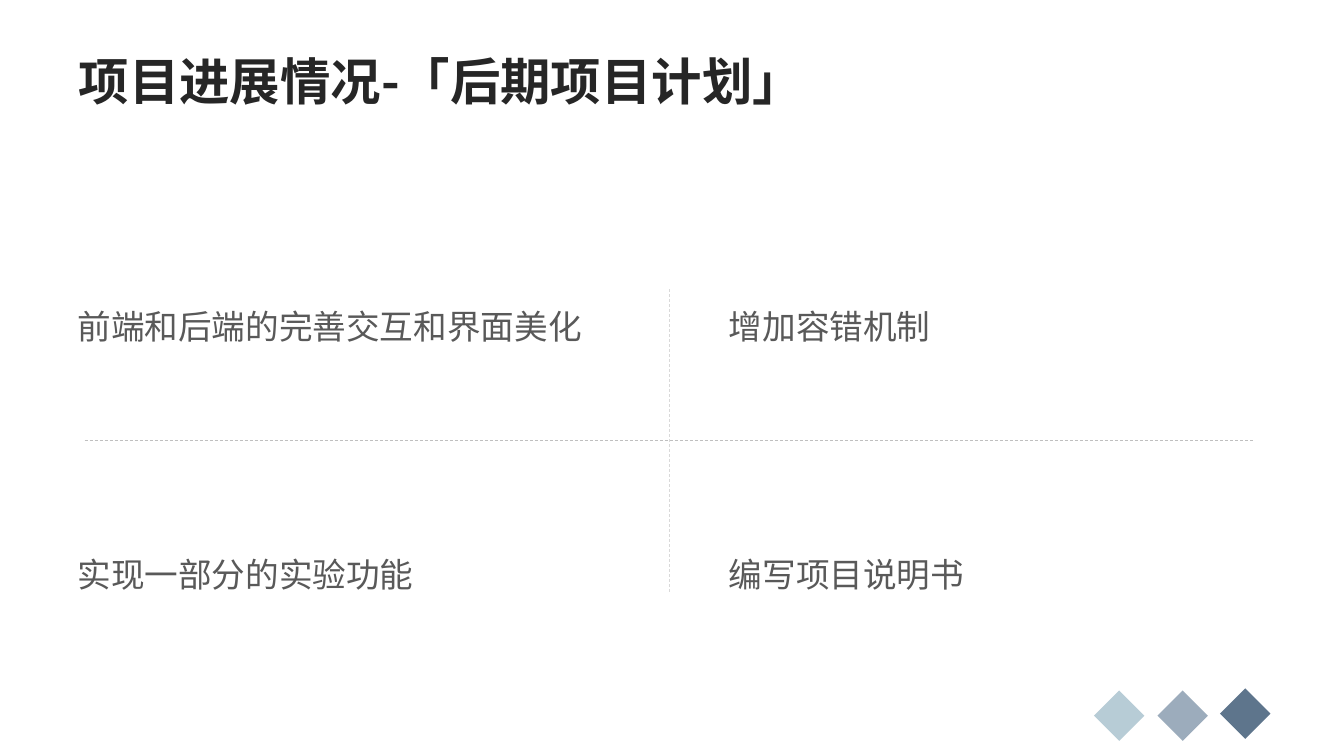
from lxml import etree
from pptx import Presentation
from pptx.dml.color import RGBColor
from pptx.enum import dml, shapes, text
from pptx.oxml import ns
from pptx.util import Inches, Pt

FONT = "Noto Sans CJK SC"
DARK = RGBColor(0x26, 0x26, 0x26)
GREY = RGBColor(0x59, 0x59, 0x59)
ROW = RGBColor(0xBF, 0xBF, 0xBF)
COL = RGBColor(0xD9, 0xD9, 0xD9)
NAVY = RGBColor(0x5E, 0x75, 0x8C)
STEEL = RGBColor(0x9C, 0xAC, 0xBC)
PALE = RGBColor(0xB7, 0xCC, 0xD6)

PLANS = [
    ["前端和后端的完善交互和界面美化", "增加容错机制"],
    ["实现一部分的实验功能", "编写项目说明书"],
]


def write(slide, words, x, y, w, h, size=24, color=GREY, bold=False,
          space=None, left=0.1):
    box = slide.shapes.add_textbox(Inches(x), Inches(y), Inches(w), Inches(h))
    frame = box.text_frame
    frame.word_wrap = True
    frame.vertical_anchor = text.MSO_ANCHOR.MIDDLE
    frame.margin_left = Inches(left)
    para = frame.paragraphs[0]
    para.line_spacing = space
    run = para.add_run()
    run.text = words
    font = run.font
    font.size, font.bold, font.name = Pt(size), bold, FONT
    font.color.rgb = color
    east = etree.SubElement(run._r.get_or_add_rPr(), ns.qn("a:ea"))
    east.set("typeface", FONT)


def rule(slide, x1, y1, x2, y2, color):
    line = slide.shapes.add_connector(
        shapes.MSO_CONNECTOR.STRAIGHT,
        Inches(x1), Inches(y1), Inches(x2), Inches(y2))
    line.line.color.rgb = color
    line.line.width = Pt(0.5)
    line.line.dash_style = dml.MSO_LINE.DASH
    etree.SubElement(line._element.spPr, ns.qn("a:effectLst"))


def gem(group, x, y, color):
    shape = group.shapes.add_shape(
        shapes.MSO_SHAPE.DIAMOND,
        Inches(x), Inches(y), Inches(0.5), Inches(0.5))
    shape.rotation = 90
    shape.shadow.inherit = False
    shape.fill.solid()
    shape.fill.fore_color.rgb = color
    shape.line.fill.background()


def main():
    deck = Presentation()
    deck.slide_width, deck.slide_height = Inches(13.33), Inches(7.5)
    slide = deck.slides.add_slide(deck.slide_layouts[6])

    group = slide.shapes.add_group_shape()
    for x, y, color in [(12.1, 6.83, NAVY), (11.48, 6.85, STEEL),
                        (10.85, 6.85, PALE)]:
        gem(group, x, y, color)

    rule(slide, 0.84, 4.37, 12.44, 4.37, ROW)
    rule(slide, 6.64, 2.87, 6.64, 5.88, COL)

    write(slide, "项目进展情况-「后期项目计划」", 0.67, 0.41, 12, 0.77,
          size=36, color=DARK, bold=True, left=0.11)
    for y, plans in zip((2.3, 4.76), PLANS):
        for x, plan in zip((0.67, 7.13), plans):
            write(slide, plan, x, y, 5.32, 1.67, space=1.5)

    deck.save("out.pptx")


if __name__ == "__main__":
    main()
